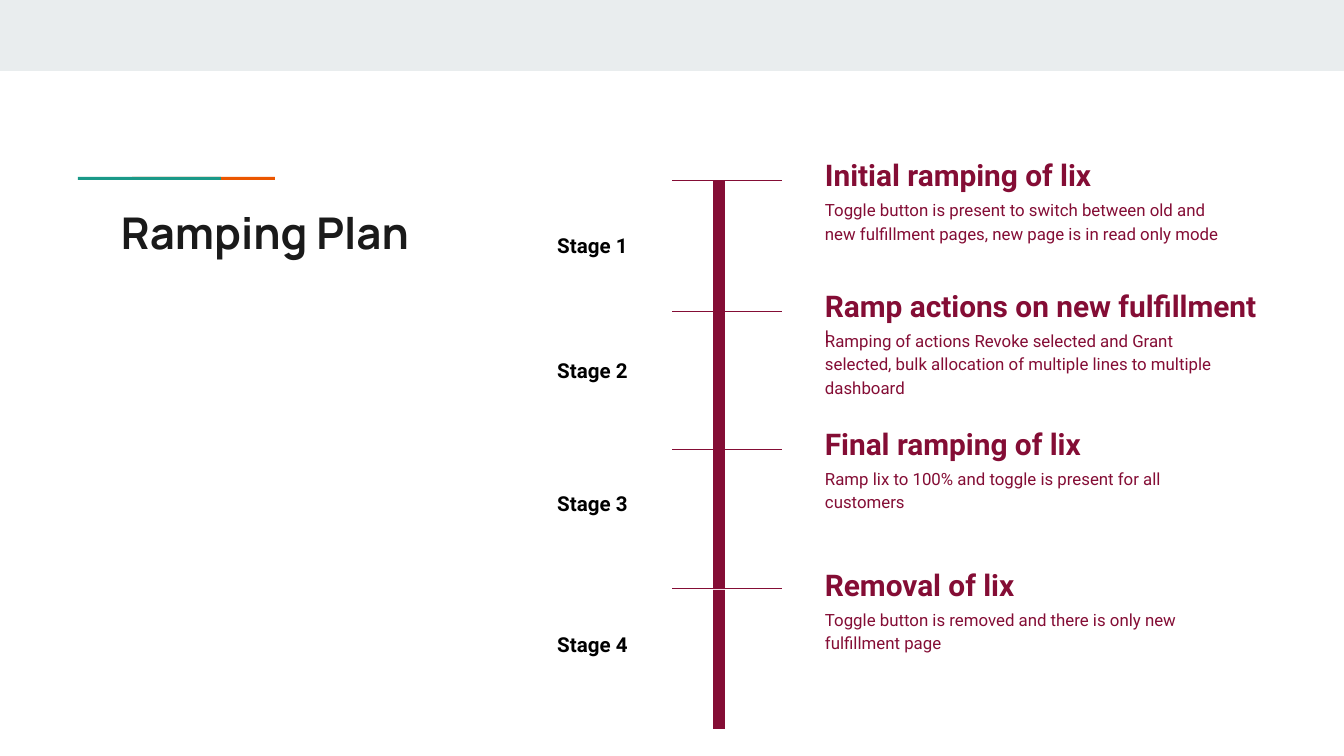
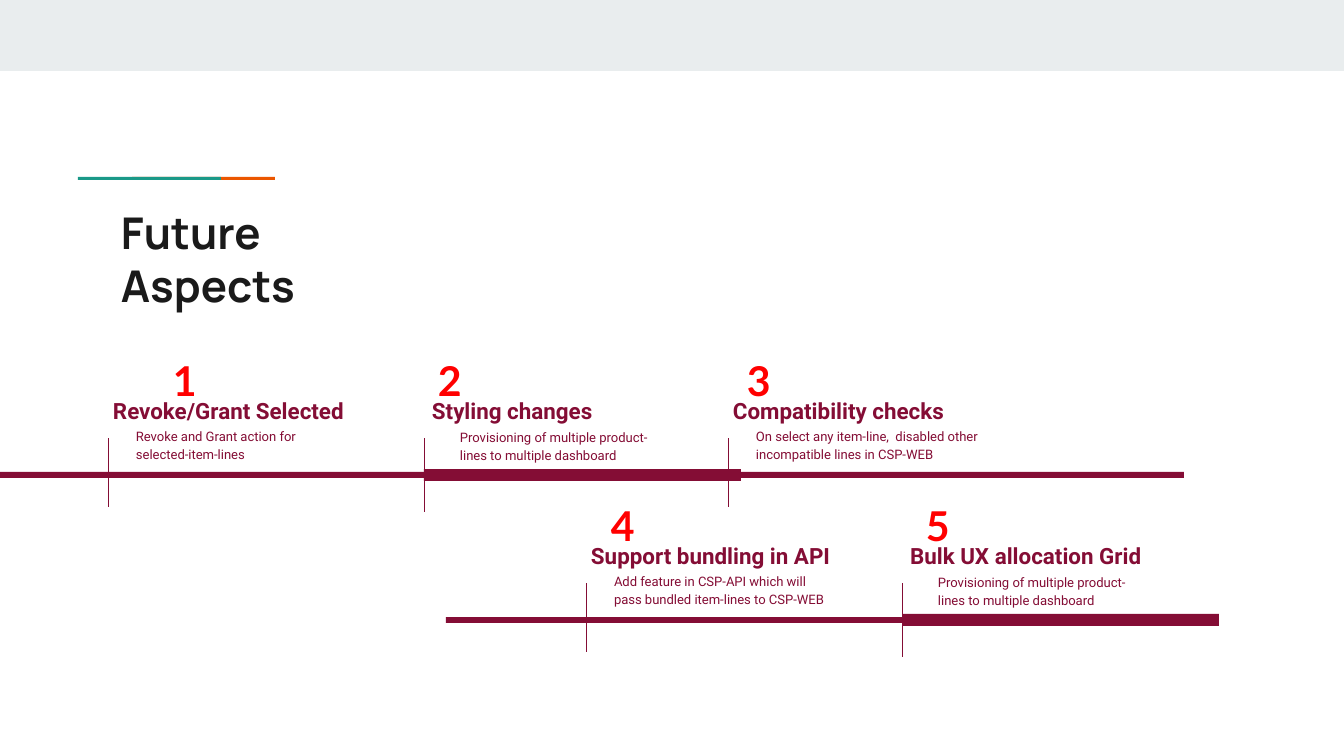
from lxml import etree
from pptx import Presentation
from pptx.dml.color import RGBColor
from pptx.enum.shapes import MSO_CONNECTOR, MSO_SHAPE
from pptx.enum.text import MSO_ANCHOR, MSO_AUTO_SIZE, PP_ALIGN
from pptx.oxml.ns import qn
from pptx.util import Pt

PX = 914400 / 134.4
RECT = MSO_SHAPE.RECTANGLE
LINE = MSO_CONNECTOR.STRAIGHT
TOP = MSO_ANCHOR.TOP
FIXED, GROW = MSO_AUTO_SIZE.NONE, MSO_AUTO_SIZE.SHAPE_TO_FIT_TEXT
LEFT, MID = PP_ALIGN.LEFT, PP_ALIGN.CENTER

WHITE = RGBColor(0xFF, 0xFF, 0xFF)
PALE = RGBColor(0xE9, 0xED, 0xEE)
TEAL = RGBColor(0x1A, 0x99, 0x88)
RUST = RGBColor(0xEB, 0x56, 0x00)
INK = RGBColor(0x1A, 0x1A, 0x1A)
BLACK = RGBColor(0, 0, 0)
WINE = RGBColor(0x84, 0x0D, 0x35)
RED = RGBColor(0xFF, 0, 0)

STYLES = {
    "title": ({"name": "Manrope", "size": Pt(23.4), "bold": True}, INK, 13, 1.0, LEFT),
    "head": ({"name": "Roboto", "size": Pt(16), "bold": True}, WINE, 36, 1.15, LEFT),
    "body": ({"name": "Roboto", "size": Pt(9), "bold": False}, WINE, 36, 1.15, LEFT),
    "stage": ({"name": "Roboto", "size": Pt(11), "bold": True}, BLACK, 36, 1.15, MID),
    "topic": ({"name": "Roboto", "size": Pt(12), "bold": True}, WINE, 36, 1.15, LEFT),
    "note": ({"name": "Roboto", "size": Pt(7), "bold": False}, WINE, 36, 1.15, LEFT),
    "digit": ({"name": "Lato", "size": Pt(22), "bold": True}, RED, 13, 1.0, LEFT),
}


def draw(slide, box, color, line=False):
    x, y, w, h = (round(v * PX) for v in box)
    if line:
        half = round(PX / 2)
        x, y = x + half, y + half
        item = slide.shapes.add_connector(LINE, x, y, x + w, y + h)
        item.line.color.rgb = color
        item.line.width = Pt(0.75)
        etree.SubElement(item._element.spPr, qn("a:effectLst"))
    else:
        item = slide.shapes.add_shape(RECT, x, y, w, h)
        item.shadow.inherit = False
        item.fill.solid()
        item.fill.fore_color.rgb = color
        item.line.fill.background()


def write(slide, box, text, style):
    font, color, pad, gap, align = STYLES[style]
    frame = slide.shapes.add_textbox(*(round(v * PX) for v in box)).text_frame
    frame.word_wrap = True
    frame.auto_size = GROW if style == "digit" else FIXED
    frame.vertical_anchor = TOP
    for side in ("left", "top", "right", "bottom"):
        setattr(frame, "margin_" + side, round(pad * PX))
    frame.text = text
    for i, para in enumerate(frame.paragraphs):
        para.alignment = align
        para.line_spacing = gap
        para.space_before = Pt(43 if i else 0)
        for key, val in font.items():
            setattr(para.font, key, val)
        para.font.color.rgb = color


deck = Presentation()
deck.slide_width = round(1344 * PX)
deck.slide_height = round(756 * PX)

pages = []
for title, width in (("Ramping Plan", 1130), ("Future Aspects", 347)):
    page = deck.slides.add_slide(deck.slide_layouts[6])
    page.background.fill.solid()
    page.background.fill.fore_color.rgb = WHITE
    draw(page, (0, 0, 1344, 71), PALE)
    draw(page, (132, 177, 143, 3), RUST)
    draw(page, (78, 177, 143, 3), TEAL)
    write(page, (108, 193, width, 79), title, "title")
    pages.append(page)
plan, future = pages

STAGES = [
    (180, 180, 202, "Initial ramping of lix",
     "Toggle button is present to switch between old and new fulfillment pages, "
     "new page is in read only mode\nl"),
    (311, 311, 327, "Ramp actions on new fulfillment",
     "Ramping of actions Revoke selected and Grant selected, "
     "bulk allocation of multiple lines to multiple dashboard"),
    (449, 449, 460, "Final ramping of lix",
     "Ramp lix to 100% and toggle is present for all customers"),
    (590, 588, 601, "Removal of lix",
     "Toggle button is removed and there is only new fulfillment page"),
]
for num, (top, tick, label, head, body) in enumerate(STAGES, 1):
    draw(plan, (713, top, 12, 139), WINE)
    draw(plan, (672, tick, 110, 0), WINE, line=True)
    write(plan, (789, top - 62, 534, 67), head, "head")
    write(plan, (789, top - 19, 482, 85), body, "body")
    write(plan, (473, label, 239, 55), f"Stage {num}", "stage")

SHARED = "Provisioning of multiple product-lines to multiple dashboard"
TOPICS = [
    (475, 108, (0, 424, 6), 160, 77, (100, 257), "Revoke/Grant Selected",
     "Revoke and Grant action for selected-item-lines"),
    (475, 424, (424, 317, 12), 425, 396, (424, 281), "Styling changes", SHARED),
    (475, 728, (728, 456, 6), 734, 697, (720, 317), "Compatibility checks",
     "On select any item-line,  disabled other incompatible lines in CSP-WEB"),
    (620, 586, (446, 456, 6), 598, 555, (578, 286), "Support bundling in API",
     "Add feature in CSP-API which will pass bundled item-lines to CSP-WEB"),
    (620, 902, (902, 317, 12), 913, 874, (902, 281), "Bulk UX allocation Grid", SHARED),
]
for num, (axis, tick, bar, dig, left, note, head, body) in enumerate(TOPICS, 1):
    start, span, thick = bar
    wide = thick == 12
    draw(future, (start, axis - thick // 2, span, thick), WINE)
    draw(future, (tick, axis - 37, 0, 74 if wide else 69), WINE, line=True)
    write(future, (left, axis - 115, 533, 67), head, "topic")
    write(future, (note[0], axis - (84 if wide else 85), note[1], 85), body, "note")
    write(future, (dig, axis - 133, 38, 77), str(num), "digit")

deck.save("out.pptx")
